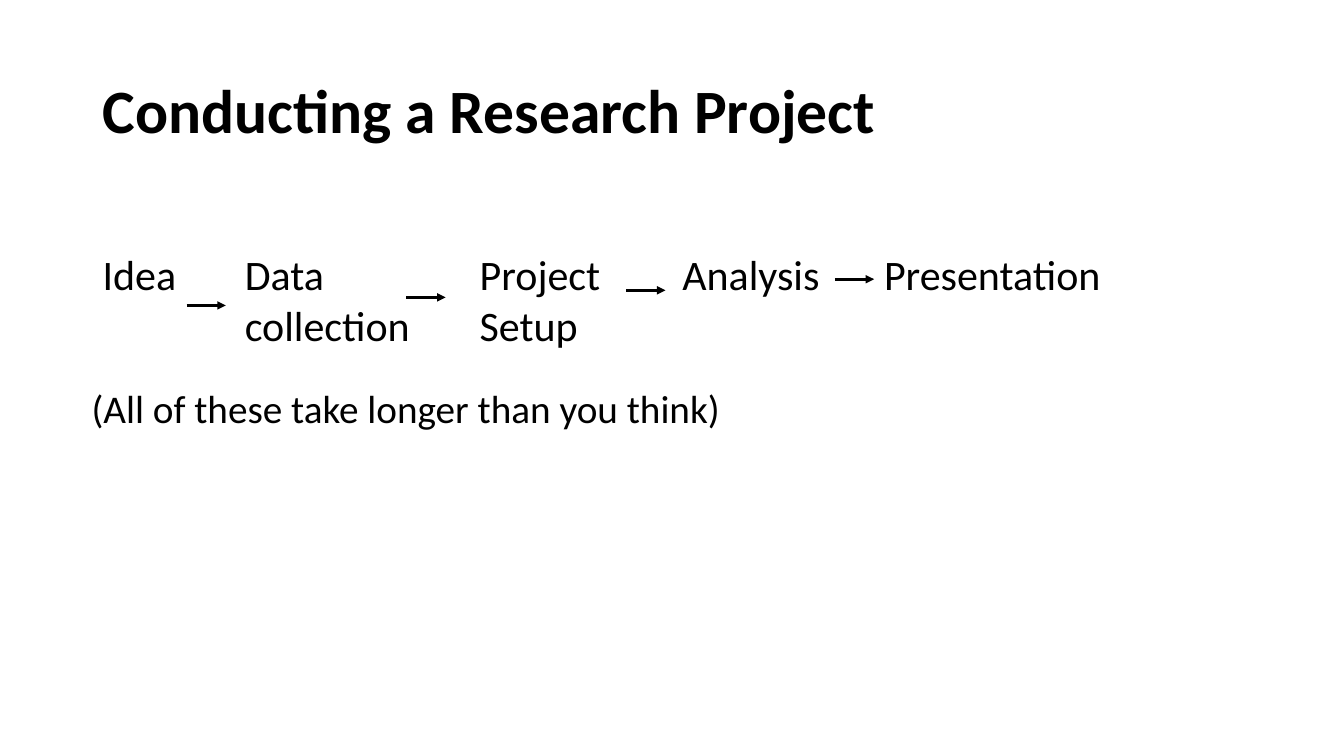
from lxml import etree
from pptx import Presentation
from pptx.dml.color import RGBColor
from pptx.enum.shapes import MSO_CONNECTOR
from pptx.enum.text import MSO_ANCHOR, MSO_AUTO_SIZE, PP_ALIGN
from pptx.oxml.ns import qn
from pptx.util import Inches, Pt

BLACK = RGBColor(0, 0, 0)
FONT = "Calibri"
MARGIN = 0.92
ARROW_LENGTH = 0.39
STEPS = [
    ("Idea", 0, 1.17, 0.61),
    ("Data collection", 1.41, 2.1, 1.11),
    ("Project Setup", 3.74, 2.1, 1.11),
    ("Analysis", 5.75, 1.83, 0.61),
    ("Presentation", 7.75, 2.63, 0.61),
]
ARROWS = [(0.93, 0.61), (3.11, 0.53), (5.29, 0.46), (7.36, 0.35)]


def write(tf, text, size, bold=False, spacing=None):
    """Fill a text frame with one left-aligned paragraph."""
    tf.word_wrap = True
    tf.text = text
    p = tf.paragraphs[0]
    p.alignment = PP_ALIGN.LEFT
    p.line_spacing = spacing
    font = p.runs[0].font
    font.name, font.size, font.bold = FONT, Pt(size), bold
    font.color.rgb = BLACK


def add_title(s, left, top, width, height):
    """Place the slide title in the given box."""
    title = s.shapes.title
    title.left, title.top = Inches(left), Inches(top)
    title.width, title.height = Inches(width), Inches(height)
    title.text_frame.vertical_anchor = MSO_ANCHOR.MIDDLE
    write(title.text_frame, "Conducting a Research Project", 44, True, 0.9)


def add_text(s, left, top, width, height):
    """Add an empty text box and return its text frame."""
    box = s.shapes.add_textbox(Inches(left), Inches(top), Inches(width), Inches(height))
    return box.text_frame


def add_arrow(s, left, top):
    """Draw a short arrow pointing right."""
    arrow = s.shapes.add_connector(
        MSO_CONNECTOR.STRAIGHT, Inches(left), Inches(top),
        Inches(left + ARROW_LENGTH), Inches(top))
    arrow.line.color.rgb = BLACK
    arrow.line.width = Pt(2)
    etree.SubElement(arrow.line._get_or_add_ln(), qn("a:tailEnd"), type="triangle")
    etree.SubElement(arrow._element.spPr, qn("a:effectLst"))


def add_process(s, left, top):
    """Lay out the project steps and the arrows between them."""
    for text, dx, width, height in STEPS:
        tf = add_text(s, left + dx, top, width, height)
        write(tf, text, 30)
        tf.auto_size = MSO_AUTO_SIZE.SHAPE_TO_FIT_TEXT
    for dx, dy in ARROWS:
        add_arrow(s, left + dx, top + dy)


def add_remark(s, left, top, width, height):
    """Place the remark below the process."""
    tf = add_text(s, left, top, width, height)
    write(tf, "(All of these take longer than you think)", 28, spacing=0.9)
    tf.paragraphs[0].space_before = Pt(10)


def main():
    """Build and save the slide."""
    prs = Presentation()
    prs.slide_width, prs.slide_height = Inches(13.33), Inches(7.5)
    s = prs.slides.add_slide(prs.slide_layouts[5])
    add_title(s, MARGIN, 0.4, 11.5, 1.45)
    add_process(s, MARGIN, 2.42)
    add_remark(s, 0.81, 3.82, 9.42, 3.68)
    prs.save("out.pptx")


if __name__ == "__main__":
    main()
